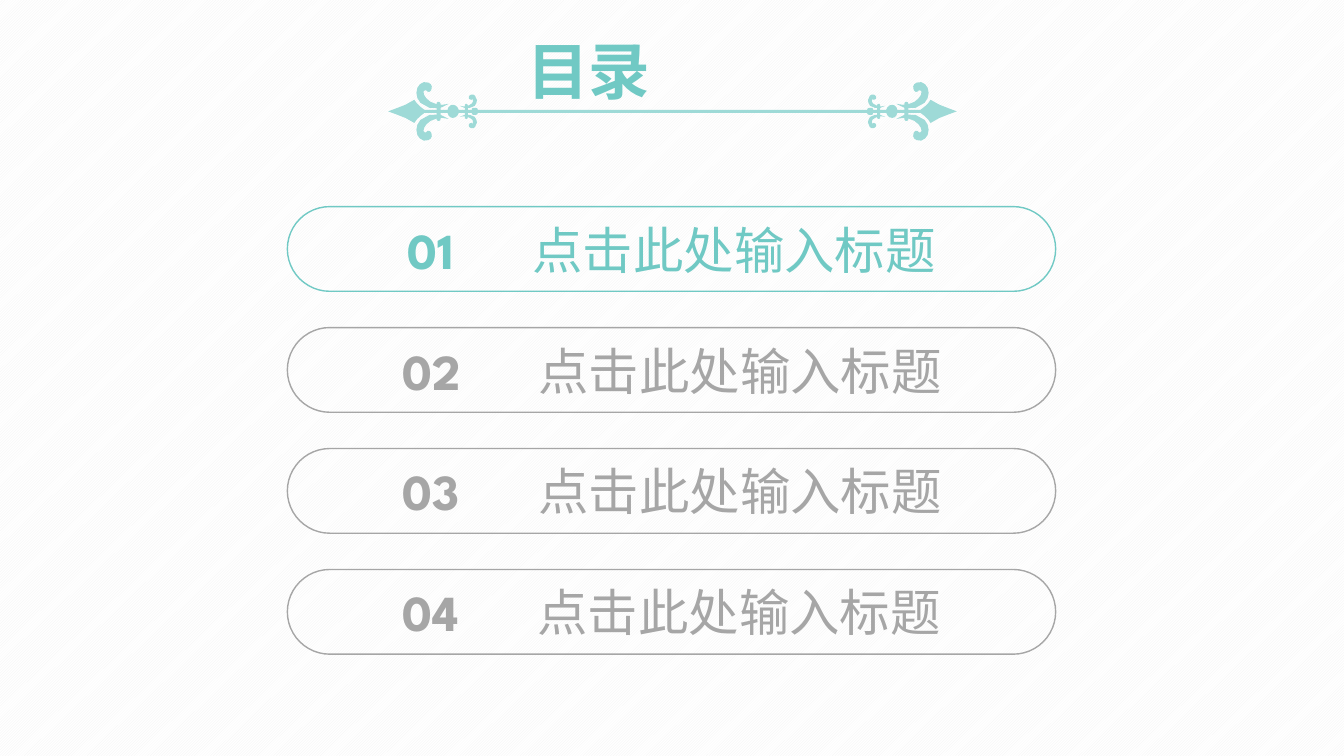
"""Build a contents slide with an ornamental divider and four numbered entries."""
import lxml.etree
import pptx
import pptx.dml.color
import pptx.enum.dml
import pptx.enum.shapes
import pptx.enum.text
import pptx.oxml.ns
import pptx.util

Inches = pptx.util.Inches
Pt = pptx.util.Pt
RGBColor = pptx.dml.color.RGBColor
TEAL = RGBColor(0x70, 0xC9, 0xC4)
PALE_TEAL = RGBColor(0x9E, 0xDA, 0xD7)
GREY = RGBColor(0xA6, 0xA6, 0xA6)
STRIPE = RGBColor(0xF2, 0xF2, 0xF2)
WHITE = RGBColor(0xFF, 0xFF, 0xFF)
CENTER_X, CENTER_Y = 6.67, 1.105
UNITS = 1000


def trace(nodes, steps=3):
    """Return points along joined cubic curves given as start, control, control, end, ..."""
    points = [nodes[0]]
    for i in range(0, len(nodes) - 1, 3):
        a, b, c, d = nodes[i:i + 4]
        for k in range(1, steps + 1):
            t = k / steps
            u = 1 - t
            points.append(tuple(u**3 * a[j] + 3 * u * u * t * b[j] + 3 * u * t * t * c[j]
                                + t**3 * d[j] for j in (0, 1)))
    return points


def add_outline(shapes, contours):
    """Add one filled freeform made of closed contours."""
    scaled = [[(x * UNITS, y * UNITS) for x, y in points] for points in contours]
    fb = shapes.build_freeform(*scaled[0][0], scale=Inches(1) / UNITS)
    for i, points in enumerate(scaled):
        if i:
            fb.move_to(*points[0])
        fb.add_line_segments(points[1:], close=True)
    sp = fb.convert_to_shape()
    sp.shadow.inherit = False
    sp.fill.solid()
    sp.fill.fore_color.rgb = PALE_TEAL
    sp.line.fill.background()


prs = pptx.Presentation()
prs.slide_width, prs.slide_height = Inches(13.33), Inches(7.5)
s = prs.slides.add_slide(prs.slide_layouts[5])
fill = s.background.fill
fill.patterned()
fill.pattern = pptx.enum.dml.MSO_PATTERN.DARK_UPWARD_DIAGONAL
fill.fore_color.rgb = STRIPE
fill.back_color.rgb = WHITE

title = s.shapes.title
title.left, title.top, title.width, title.height = map(Inches, (5.13, 0.28, 3.08, 0.84))
tf = title.text_frame
tf.word_wrap = True
tf.auto_size = pptx.enum.text.MSO_AUTO_SIZE.NONE
tf.vertical_anchor = pptx.enum.text.MSO_ANCHOR.TOP
p = tf.paragraphs[0]
p.alignment = pptx.enum.text.PP_ALIGN.JUSTIFY
r = p.add_run()
r.text = "目录"
r.font.name, r.font.size, r.font.bold = "Calibri", Pt(44), True
r.font.color.rgb = TEAL

large_scroll = trace([
    (4.24, 0.91), (4.23, 0.89), (4.21, 0.89), (4.2, 0.91), (4.2, 0.94), (4.22, 0.98),
    (4.27, 1.01), (4.33, 1.04), (4.38, 1.05), (4.45, 1.03), (4.38, 1.1), (4.24, 1.09),
    (4.17, 1.02), (4.13, 0.98), (4.12, 0.92), (4.14, 0.87), (4.16, 0.83), (4.2, 0.8),
    (4.25, 0.82), (4.28, 0.83), (4.29, 0.86), (4.28, 0.88), (4.28, 0.9), (4.26, 0.92),
    (4.24, 0.91)])
small_scroll = trace([
    (4.68, 0.99), (4.68, 0.98), (4.69, 0.98), (4.69, 0.99), (4.7, 1), (4.69, 1.03),
    (4.66, 1.04), (4.63, 1.06), (4.6, 1.06), (4.56, 1.05), (4.6, 1.08), (4.67, 1.08),
    (4.71, 1.05), (4.73, 1.02), (4.74, 0.99), (4.72, 0.97), (4.72, 0.95), (4.7, 0.93),
    (4.67, 0.94), (4.65, 0.95), (4.65, 0.96), (4.65, 0.97), (4.65, 0.98), (4.66, 0.99),
    (4.68, 0.99)])
spear = trace([
    (3.85, CENTER_Y), (3.94, 1.07), (4.02, 1.05), (4.11, 0.99),
    (4.13, 1.03), (4.17, 1.06), (4.21, 1.09)])
bead = trace([
    (4.44, 1.09), (4.44, 1.06), (4.47, 1.04), (4.49, 1.04),
    (4.52, 1.04), (4.54, 1.06), (4.55, 1.09)])
small_bead = trace([
    (4.68, 1.09), (4.68, 1.07), (4.69, 1.07), (4.71, 1.07),
    (4.72, 1.07), (4.74, 1.07), (4.74, 1.09)])

ornament = s.shapes.add_group_shape().shapes
top_left = spear + bead + small_bead
top = top_left + [(2 * CENTER_X - x, y) for x, y in reversed(top_left)]
add_outline(ornament, [top + [(x, 2 * CENTER_Y - y) for x, y in reversed(top)]])
for mirrored in (False, True):
    for scroll in (large_scroll, small_scroll):
        upper = [(2 * CENTER_X - x if mirrored else x, y) for x, y in scroll]
        add_outline(ornament, [upper, [(x, 2 * CENTER_Y - y) for x, y in upper]])
    for x, y, w, h in ((4.33, 1.01, 0.04, 0.19), (4.61, 1.03, 0.03, 0.15)):
        left = 2 * CENTER_X - x - w if mirrored else x
        sp = ornament.add_shape(pptx.enum.shapes.MSO_SHAPE.ROUNDED_RECTANGLE,
                                Inches(left), Inches(y), Inches(w), Inches(h))
        sp.adjustments[0] = 0.5
        sp.shadow.inherit = False
        sp.fill.solid()
        sp.fill.fore_color.rgb = PALE_TEAL
        sp.line.fill.background()

entries = [("01", TEAL, 1.02, 1.24), ("02", GREY, 0.97, 1.35),
           ("03", GREY, 0.97, 1.35), ("04", GREY, 0.97, 1.34)]
for i, (number, color, margin, tab) in enumerate(entries):
    y = 2.05 + 1.2 * i
    entry = s.shapes.add_group_shape().shapes
    sp = entry.add_shape(pptx.enum.shapes.MSO_SHAPE.ROUNDED_RECTANGLE,
                         Inches(2.85), Inches(y), Inches(7.62), Inches(0.84))
    sp.adjustments[0] = 0.5
    sp.shadow.inherit = False
    sp.fill.background()
    sp.line.color.rgb = color
    sp.line.width = Pt(1)
    tf = entry.add_textbox(Inches(3.02), Inches(y + 0.07), Inches(7.29), Inches(0.71)).text_frame
    tf.word_wrap = True
    tf.margin_left = Inches(margin)
    p = tf.paragraphs[0]
    tabs = lxml.etree.SubElement(p._p.get_or_add_pPr(), pptx.oxml.ns.qn("a:tabLst"))
    lxml.etree.SubElement(tabs, pptx.oxml.ns.qn("a:tab"), pos=str(Inches(tab)), algn="l")
    for text, font, bold in ((number + "\t", "League Spartan", True),
                             ("点击此处输入标题", "Calibri", False)):
        r = p.add_run()
        r.text = text
        r.font.name, r.font.size, r.font.bold = font, Pt(36), bold
        r.font.color.rgb = color

prs.save("out.pptx")
